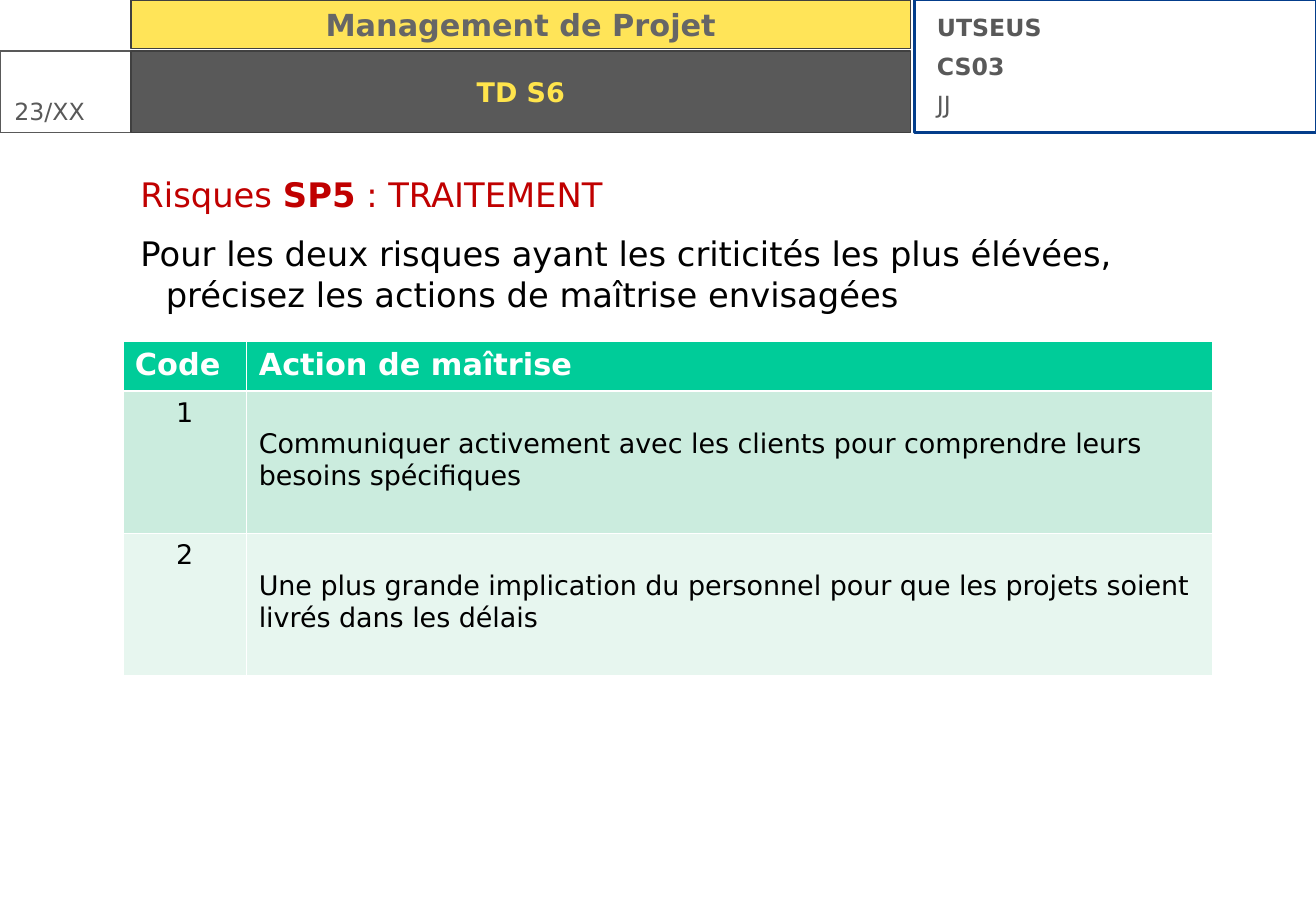
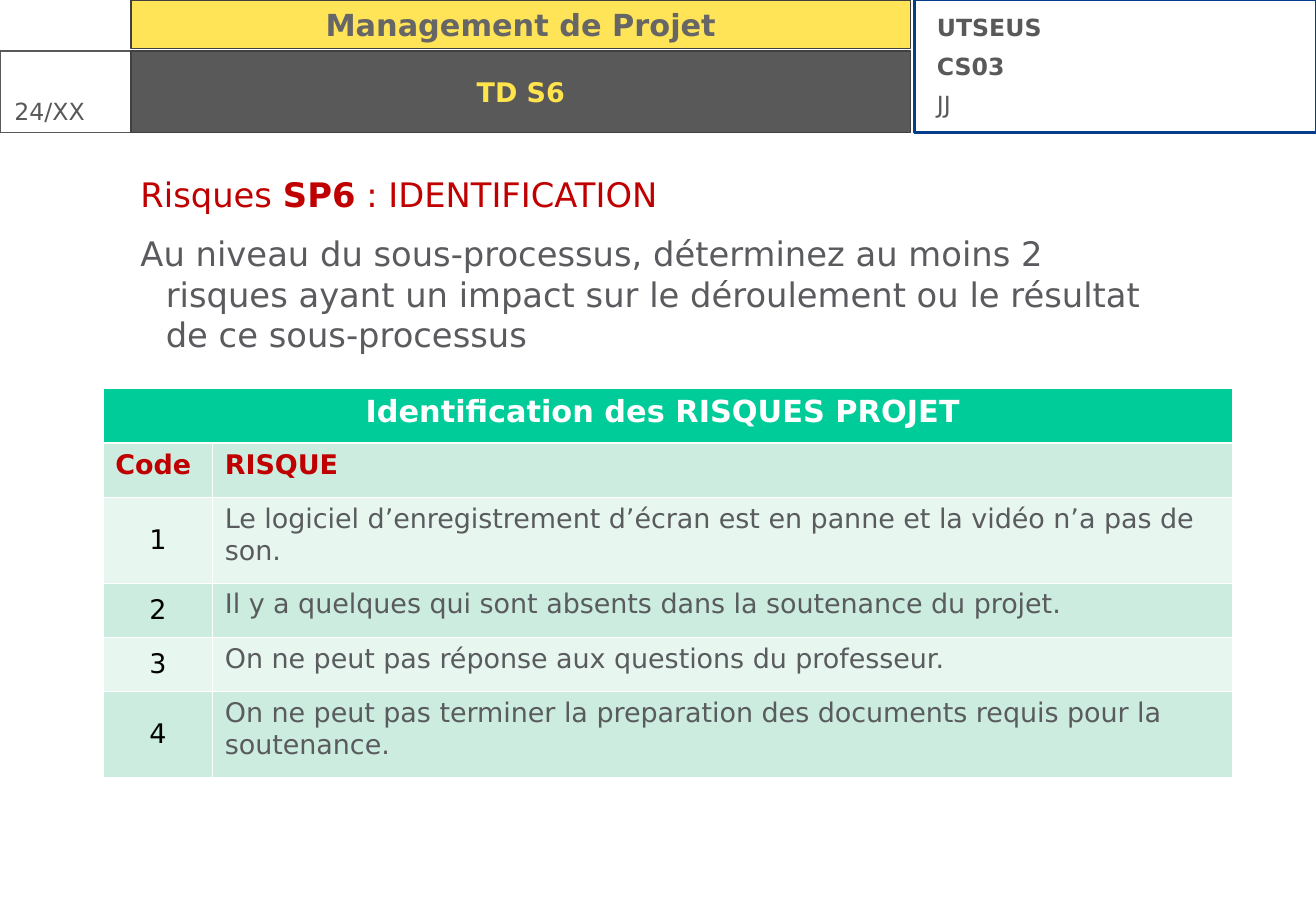
from pptx import Presentation
from pptx.dml.color import RGBColor
from pptx.enum.shapes import MSO_SHAPE
from pptx.enum.text import MSO_ANCHOR, PP_ALIGN
from pptx.oxml import parse_xml
from pptx.oxml.ns import nsdecls
from pptx.util import Cm, Pt

RECT = MSO_SHAPE.RECTANGLE
LEFT, CENTER = PP_ALIGN.LEFT, PP_ALIGN.CENTER
TOP, MIDDLE = MSO_ANCHOR.TOP, MSO_ANCHOR.MIDDLE

FONT = "DejaVu Sans"
WHITE, BLACK, RED = "FFFFFF", "000000", "C00000"
GREY, TEXT, EDGE, NAVY = "595959", "5A5B5E", "404040", "033D8B"
GOLD, PALE, DIM = "FFD912", "FFE44C", "666666"
GREEN, BANDS = "00CC99", ("CBECDE", "E7F6EF")

# Content: lengths in centimetres
COURSE, TITLE = "Management de Projet", "TD S6"
LABELS = [("UTSEUS", True), ("CS03", True), ("JJ", False)]

SLIDES = [
    {
        "page": "23/XX",
        "head": ("Risques ", "SP5", " : TRAITEMENT"),
        "task": "Pour les deux risques ayant les criticités les plus élévées, "
                "précisez les actions de maîtrise envisagées",
        "ink": BLACK,
        "table": {
            "at": (2.57, 7.14), "cols": (2.59, 20.2),
            "rows": (1.04, 2.97, 2.97),
            "ink": BLACK, "anchor": TOP, "pad": 0.79,
            "top": [("Code", "Action de maîtrise")],
            "items": [
                "Communiquer activement avec les clients pour comprendre "
                "leurs besoins spécifiques",
                "Une plus grande implication du personnel pour que les "
                "projets soient livrés dans les délais",
            ],
        },
    },
    {
        "page": "24/XX",
        "head": ("Risques ", "SP6", " : IDENTIFICATION"),
        "task": "Au niveau du sous-processus, déterminez au moins 2 risques "
                "ayant un impact sur le déroulement ou le résultat de ce "
                "sous-processus",
        "ink": TEXT,
        "table": {
            "at": (2.16, 8.13), "cols": (2.29, 21.34),
            "rows": (1.14, 1.14, 1.78, 1.14, 1.14, 1.78),
            "ink": TEXT, "anchor": MIDDLE, "pad": 0.13,
            "top": [("Identification des RISQUES PROJET ",),
                    ("Code", "RISQUE")],
            "items": [
                "Le logiciel d’enregistrement d’écran est en panne et la "
                "vidéo n’a pas de son.",
                "Il y a quelques qui sont absents dans la soutenance du "
                "projet.",
                "On ne peut pas réponse aux questions du professeur.",
                "On ne peut pas terminer la preparation des documents requis "
                "pour la soutenance.",
            ],
        },
    },
]

# Header grid
WIDTH, HEIGHT = 27.53, 19.05
MID, SIDE = 2.74, 19.13
BAR, ROW, FOOT = 1.02, 1.07, 2.77
SPAN = 16.31


def rgb(code):
    return RGBColor.from_string(code)


def style(para, size, ink, bold=None, align=LEFT):
    para.alignment = align
    font = para.font
    font.name, font.size, font.bold = FONT, Pt(size), bold
    font.color.rgb = rgb(ink)


def box(slide, at, line, width, fill=None):
    shape = slide.shapes.add_shape(RECT, *map(Cm, at))
    shape.shadow.inherit = False
    shape.line.color.rgb = rgb(line)
    shape.line.width = Pt(width)
    if fill:
        shape.fill.solid()
        shape.fill.fore_color.rgb = rgb(fill)
    else:
        shape.fill.background()
    return shape


def label(shape, text, size, ink):
    frame = shape.text_frame
    frame.word_wrap = True
    frame.vertical_anchor = MIDDLE
    frame.text = text
    style(frame.paragraphs[0], size, ink, True, CENTER)


def note(slide, at, pads=(0.25, 0.13, 0.25, 0.13)):
    frame = slide.shapes.add_textbox(*map(Cm, at)).text_frame
    frame.word_wrap = True
    (frame.margin_left, frame.margin_top,
     frame.margin_right, frame.margin_bottom) = map(Cm, pads)
    return frame


def header(slide, page):
    box(slide, (SIDE, 0, WIDTH - SIDE, FOOT), NAVY, 1.5)
    bar = box(slide, (MID, 0, SPAN, BAR), EDGE, 0.75, GOLD)
    tint = bar.fill._xPr.find(".//{*}srgbClr")
    tint.append(parse_xml(f'<a:alpha {nsdecls("a")} val="70000"/>'))
    label(bar, COURSE, 18, DIM)

    # Page number
    frame = note(slide, (0, 1.9, MID, 1.52), (0.3, 0.13, 0, 0.13))
    frame.text = page
    style(frame.paragraphs[0], 14, GREY)
    box(slide, (0, ROW, MID, FOOT - ROW), GREY, 0.75)

    # Course labels
    frame = note(slide, (19.35, 0.15, 8.05, 2.46))
    frame.text = "\n".join(text for text, _ in LABELS)
    for para, (_, bold) in zip(frame.paragraphs, LABELS):
        style(para, 14, GREY, bold)
        para.space_after = Pt(6)

    title = box(slide, (MID, ROW, SPAN, FOOT - ROW), EDGE, 0.75, GREY)
    label(title, TITLE, 16, PALE)


def intro(slide, head, task, ink):
    frame = note(slide, (2.64, 3.61, 22.22, 14.07), (0.3, 0.03, 0.3, 0))
    first, second = frame.paragraphs[0], frame.add_paragraph()
    for text in head:
        first.add_run().text = text
    first.runs[1].font.bold = True
    second.text = task
    second.space_before = Pt(5)
    for para, shade in ((first, RED), (second, ink)):
        props = para._p.get_or_add_pPr()
        props.set("marL", str(Cm(0.53)))
        props.set("indent", str(-Cm(0.53)))
        style(para, 20, shade)
        para.space_after = Pt(6)


def edge(cell, row):
    props = cell._tc.get_or_add_tcPr()
    thick = {(0, "B"), (1, "T")}
    for side in "LRTB":
        width = Pt(1.47 if (row, side) in thick else 0.45)
        props.append(parse_xml(
            f'<a:ln{side} {nsdecls("a")} w="{width}"><a:solidFill>'
            f'<a:srgbClr val="{WHITE}"/></a:solidFill></a:ln{side}>'))


def grid(slide, data):
    cols, rows, top = data["cols"], data["rows"], data["top"]
    size = (sum(cols), sum(rows))
    table = slide.shapes.add_table(
        len(rows), len(cols), *map(Cm, data["at"] + size)).table
    for col, width in zip(table.columns, cols):
        col.width = Cm(width)
    for row, height in zip(table.rows, rows):
        row.height = Cm(height)

    lines = top + [(str(num), text)
                   for num, text in enumerate(data["items"], 1)]
    for r, line in enumerate(lines):
        for c in range(len(cols)):
            cell = table.cell(r, c)
            edge(cell, r)
            cell.fill.solid()
            cell.fill.fore_color.rgb = rgb(BANDS[(r - 1) % 2] if r else GREEN)
        if len(line) == 1:
            table.cell(r, 0).merge(table.cell(r, len(cols) - 1))
        for c, text in enumerate(line):
            cell = table.cell(r, c)
            cell.text = text
            para = cell.text_frame.paragraphs[0]
            if r == 0:
                style(para, 18, WHITE, True, CENTER if len(line) == 1 else LEFT)
            elif r < len(top):
                style(para, 16, RED, True)
            elif c == 0:
                style(para, 16, BLACK, False, CENTER)
                cell.vertical_anchor = data["anchor"]
            else:
                style(para, 16, data["ink"], False)
                cell.margin_top = Cm(data["pad"])


def main():
    deck = Presentation()
    deck.slide_width, deck.slide_height = Cm(WIDTH), Cm(HEIGHT)
    blank = deck.slide_layouts[6]
    for data in SLIDES:
        slide = deck.slides.add_slide(blank)
        header(slide, data["page"])
        intro(slide, data["head"], data["task"], data["ink"])
        grid(slide, data["table"])
    deck.save("out.pptx")


if __name__ == "__main__":
    main()
